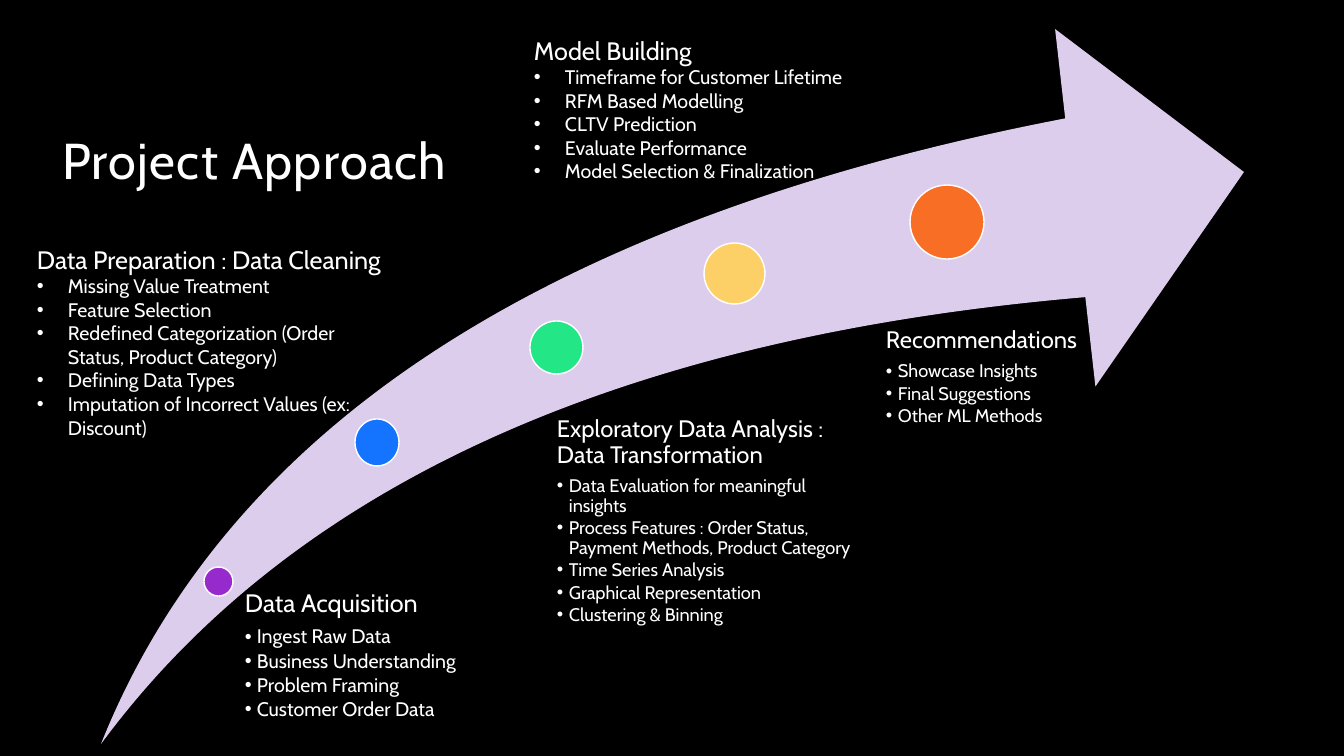
from lxml import etree
from pptx import Presentation
from pptx.dml.color import RGBColor
from pptx.enum.shapes import MSO_SHAPE
from pptx.enum.text import MSO_ANCHOR, MSO_AUTO_SIZE, PP_ALIGN
from pptx.oxml.ns import qn
from pptx.util import Emu, Pt

BLACK = RGBColor(0x00, 0x00, 0x00)
WHITE = RGBColor(0xFF, 0xFF, 0xFF)
LAVENDER = RGBColor(0xDD, 0xCD, 0xED)
PURPLE = RGBColor(0x97, 0x2A, 0xCD)
BLUE = RGBColor(0x14, 0x74, 0xFF)
GREEN = RGBColor(0x23, 0xE6, 0x86)
YELLOW = RGBColor(0xFD, 0xD0, 0x67)
ORANGE = RGBColor(0xF8, 0x6E, 0x24)

ELLIPSE = MSO_SHAPE.OVAL
SWOOSH = MSO_SHAPE.SWOOSH_ARROW
TOP, BOTTOM = MSO_ANCHOR.TOP, MSO_ANCHOR.BOTTOM
LEFT = PP_ALIGN.LEFT
NO_FIT = MSO_AUTO_SIZE.NONE

FONT = "Cabin"
EMU_PER_PX = 914400 / 100.8
TITLE_ONLY = 5

# Dots along the arrow: left, top, width, height, colour
MILESTONES = [
    (204, 567, 29, 29, PURPLE),
    (355, 419, 44, 47, BLUE),
    (530, 321, 53, 53, GREEN),
    (704, 243, 61, 61, YELLOW),
    (910, 185, 74, 74, ORANGE),
]

# Stages below the arrow: box, left inset, heading size, bullet size, heading, bullets
LOWER_STAGES = [
    ((229, 591, 344, 111), 16, 18, 14, "Data Acquisition",
     ["Ingest Raw Data", "Business Understanding", "Problem Framing",
      "Customer Order Data"]),
    ((529, 417, 334, 231), 28, 17, 13,
     "Exploratory Data Analysis : Data Transformation",
     ["Data Evaluation for meaningful insights",
      "Process Features : Order Status, Payment Methods, Product Category",
      "Time Series Analysis", "Graphical Representation",
      "Clustering & Binning"]),
    ((847, 328, 321, 183), 39, 17, 13, "Recommendations",
     ["Showcase Insights", "Final Suggestions", "Other ML Methods"]),
]

# Stages above the arrow: box, heading, bullets
UPPER_STAGES = [
    ((27, 239, 373, 231), "Data Preparation : Data Cleaning",
     ["Missing Value Treatment", "Feature Selection",
      "Redefined Categorization (Order Status, Product Category)",
      "Defining Data Types",
      "Imputation of Incorrect Values (ex: Discount)"]),
    ((524, 30, 360, 159), "Model Building",
     ["Timeframe for Customer Lifetime", "RFM Based Modelling",
      "CLTV Prediction", "Evaluate Performance",
      "Model Selection & Finalization"]),
]


def px(length):
    return Emu(round(length * EMU_PER_PX))


def add_bullet(paragraph, indent):
    """Give the paragraph a round bullet with a hanging indent in px."""
    properties = paragraph._p.get_or_add_pPr()
    properties.set("marL", str(px(indent)))
    properties.set("indent", str(-px(indent)))
    etree.SubElement(properties, qn("a:buFont")).set("typeface", "Arial")
    etree.SubElement(properties, qn("a:buChar")).set("char", "•")


def write(paragraph, text, size, line_spacing=1.0, space_after=0,
          indent=0, level=0, tracking=0):
    paragraph.level = level
    if indent:
        add_bullet(paragraph, indent)
    paragraph.alignment = LEFT
    paragraph.line_spacing = line_spacing
    paragraph.space_before = Pt(0)
    paragraph.space_after = Pt(space_after)
    run = paragraph.add_run()
    run.text = text
    run.font.name = FONT
    run.font.size = Pt(size)
    run.font.color.rgb = WHITE
    if tracking:
        run.font._element.set("spc", str(tracking * 100))


class SlideBuilder:
    def __init__(self, presentation):
        self.slide = presentation.slides.add_slide(
            presentation.slide_layouts[TITLE_ONLY])
        background = self.slide.background.fill
        background.solid()
        background.fore_color.rgb = BLACK

    def title(self, text, box, size):
        title = self.slide.shapes.title
        title.left, title.top, title.width, title.height = map(px, box)
        frame = title.text_frame
        frame.auto_size = NO_FIT
        frame.word_wrap = True
        frame.vertical_anchor = BOTTOM
        write(frame.paragraphs[0], text, size, line_spacing=0.9, tracking=1)

    def shape(self, kind, box, fill, outline=None):
        shape = self.slide.shapes.add_shape(kind, *map(px, box))
        shape.shadow.inherit = False
        shape.fill.solid()
        shape.fill.fore_color.rgb = fill
        if outline is None:
            shape.line.fill.background()
        else:
            shape.line.color.rgb = outline
            shape.line.width = Pt(1)
        return shape

    def stage(self, box, insets, heading, bullets, heading_format, bullet_format):
        """Add a heading with bullets; insets are left, top, right, bottom."""
        frame = self.slide.shapes.add_textbox(*map(px, box)).text_frame
        frame.word_wrap = True
        frame.auto_size = NO_FIT
        frame.vertical_anchor = TOP
        (frame.margin_left, frame.margin_top,
         frame.margin_right, frame.margin_bottom) = map(px, insets)
        write(frame.paragraphs[0], heading, **heading_format)
        for bullet in bullets:
            write(frame.add_paragraph(), bullet, **bullet_format)


def main():
    presentation = Presentation()
    presentation.slide_width = px(1344)
    presentation.slide_height = px(756)
    builder = SlideBuilder(presentation)

    builder.title("Project Approach", (52, 75, 1008, 120), 36)

    arrow = builder.shape(SWOOSH, (101, 29, 1143, 715), LAVENDER)
    arrow.adjustments[0] = 0.25
    arrow.adjustments[1] = 0.25
    for *box, colour in MILESTONES:
        builder.shape(ELLIPSE, box, colour, outline=WHITE)

    for box, inset, heading_size, bullet_size, heading, bullets in LOWER_STAGES:
        builder.stage(
            box, (inset, 0, 0, 0), heading, bullets,
            dict(size=heading_size, line_spacing=0.9,
                 space_after=heading_size * 0.35),
            dict(size=bullet_size, line_spacing=0.9,
                 space_after=bullet_size * 0.15, indent=12, level=1))

    for box, heading, bullets in UPPER_STAGES:
        builder.stage(box, (10, 5, 10, 5), heading, bullets,
                      dict(size=18), dict(size=14, indent=31))

    presentation.save("out.pptx")


if __name__ == "__main__":
    main()
